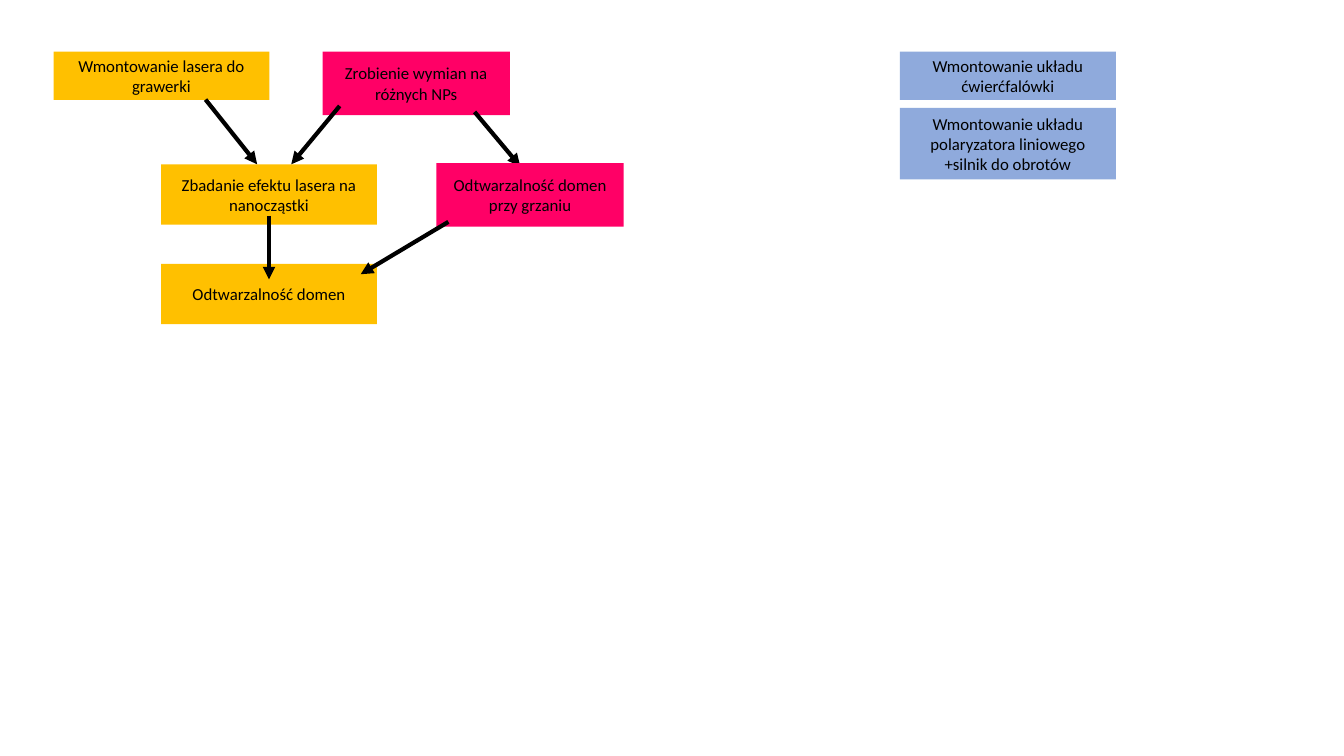
from lxml.etree import SubElement
from pptx import Presentation
from pptx.dml.color import RGBColor
from pptx.enum.shapes import MSO_CONNECTOR, MSO_SHAPE
from pptx.enum.text import MSO_ANCHOR, PP_ALIGN
from pptx.oxml.ns import qn
from pptx.util import Cm, Pt

AMBER = RGBColor(0xFF, 0xC0, 0x00)
PINK = RGBColor(0xFF, 0x00, 0x66)
BLUE = RGBColor(0x8F, 0xAA, 0xDC)
BLACK = RGBColor(0x00, 0x00, 0x00)

BOX_WIDTHS = {AMBER: 5.44, PINK: 4.72, BLUE: 5.44}
TOP_ROW = 1.3

STARTING_BOXES = [
    ("Wmontowanie lasera do grawerki", AMBER, 1.35, TOP_ROW, 1.22),
    ("Zbadanie efektu lasera na nanocząstki", AMBER, 4.06, 4.14, 1.52),
    ("Zrobienie wymian na różnych NPs", PINK, 8.13, TOP_ROW, 1.6),
    ("Odtwarzalność domen", AMBER, 4.06, 6.65, 1.52),
    ("Wmontowanie układu ćwierćfalówki", BLUE, 22.68, TOP_ROW, 1.22),
    ("Wmontowanie układu polaryzatora liniowego +silnik do obrotów", BLUE, 22.68, 2.72, 1.8),
]
STARTING_ARROWS = [
    (5.18, 2.51, 6.48, 4.14),
    (8.56, 2.67, 7.34, 4.14),
    (6.78, 5.44, 6.78, 7.04),
    (11.96, 2.82, 13.11, 4.19),
]
HEATING_BOXES = [("Odtwarzalność domen przy grzaniu", PINK, 11, 4.11, 1.6)]
HEATING_ARROWS = [(11.3, 5.59, 9.09, 6.91)]


def add_box(slide, text, color, left, top, height):
    box = slide.shapes.add_shape(
        MSO_SHAPE.RECTANGLE, Cm(left), Cm(top), Cm(BOX_WIDTHS[color]), Cm(height)
    )
    box.shadow.inherit = False
    box.fill.solid()
    box.fill.fore_color.rgb = color
    box.line.fill.background()
    frame = box.text_frame
    frame.word_wrap = True
    frame.vertical_anchor = MSO_ANCHOR.MIDDLE
    frame.text = text
    para = frame.paragraphs[0]
    para.alignment = PP_ALIGN.CENTER
    font = para.runs[0].font
    font.name = "Calibri"
    font.size = Pt(12)
    font.color.rgb = BLACK


def add_arrow(slide, *ends):
    arrow = slide.shapes.add_connector(MSO_CONNECTOR.STRAIGHT, *map(Cm, ends))
    arrow.line.color.rgb = BLACK
    arrow.line.width = Pt(3)
    properties = arrow.element.spPr
    SubElement(properties.find(qn("a:ln")), qn("a:tailEnd"), type="triangle")
    SubElement(properties, qn("a:effectLst"))


def main():
    deck = Presentation()
    deck.slide_width, deck.slide_height = Cm(33.87), Cm(19.05)
    slide = deck.slides.add_slide(deck.slide_layouts[6])
    for boxes, arrows in (
        (STARTING_BOXES, STARTING_ARROWS),
        (HEATING_BOXES, HEATING_ARROWS),
    ):
        for box in boxes:
            add_box(slide, *box)
        for arrow in arrows:
            add_arrow(slide, *arrow)
    deck.save("out.pptx")


if __name__ == "__main__":
    main()
